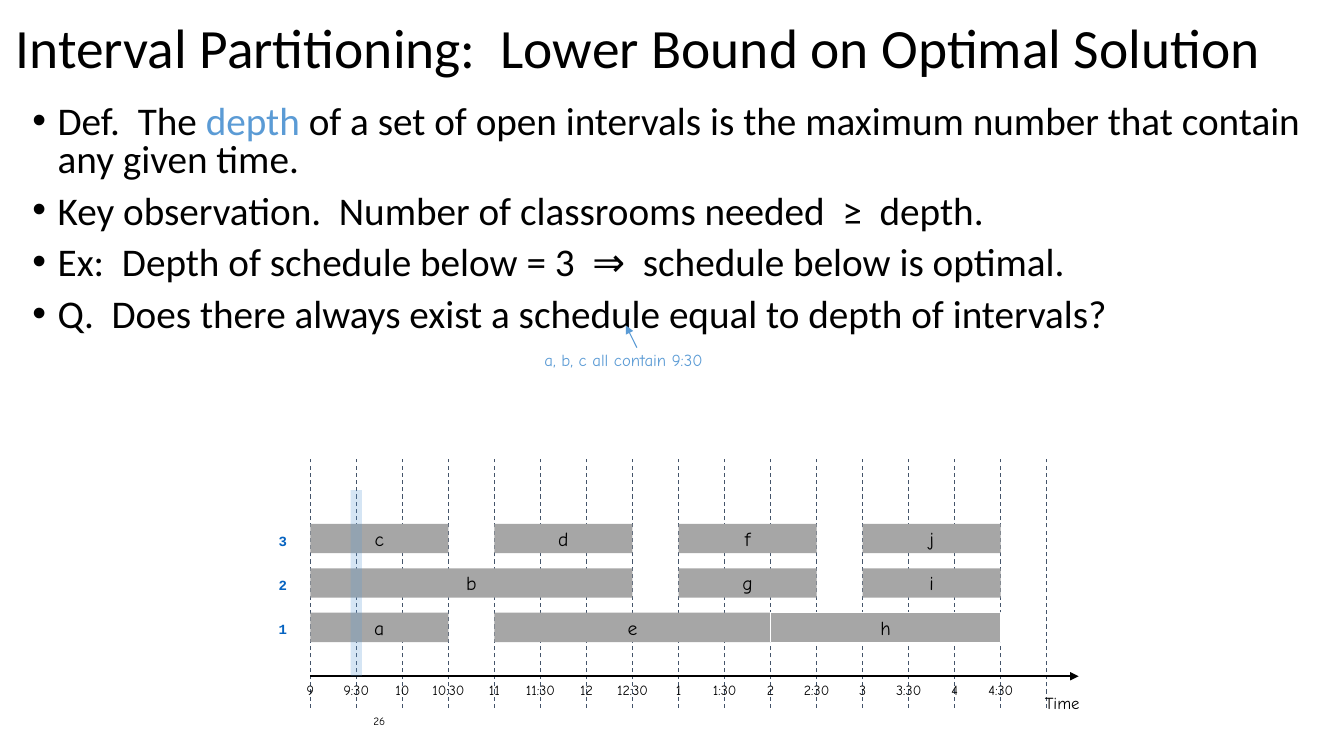
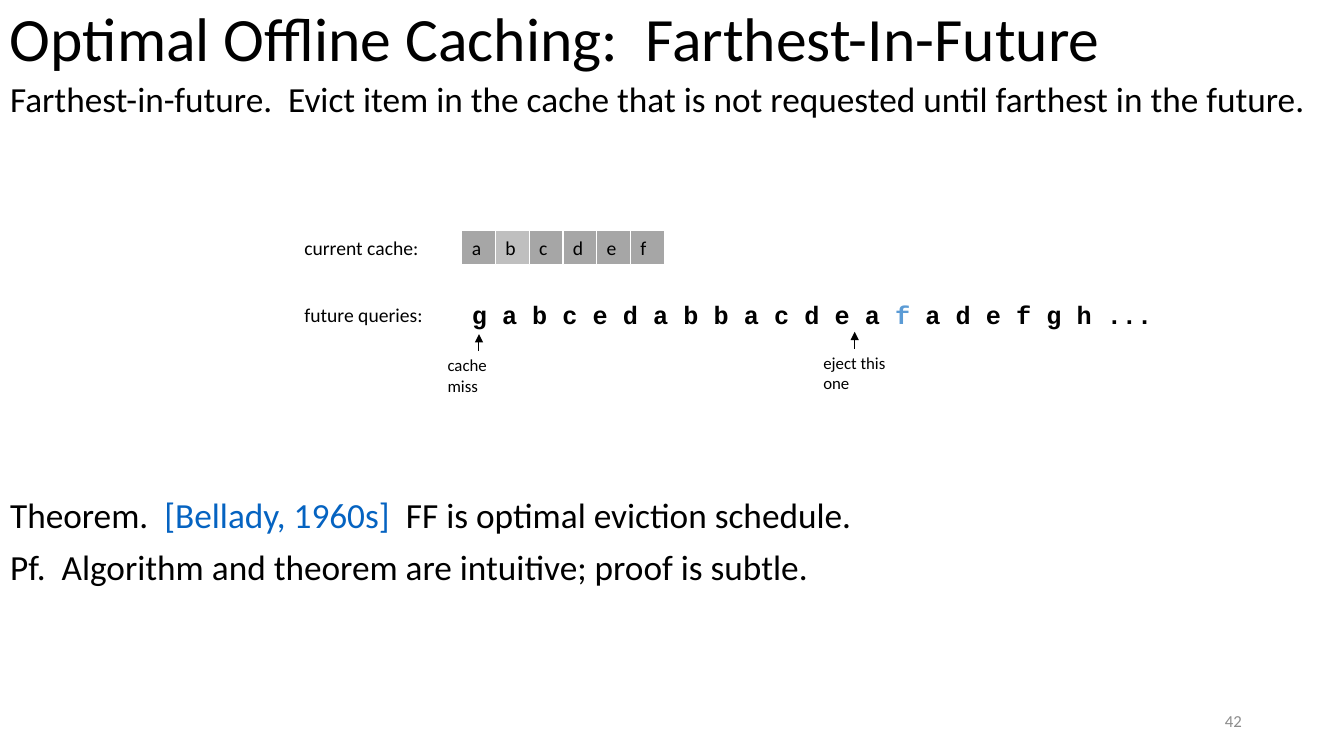
import collections

import pptx
import pptx.dml.color
import pptx.enum.dml
import pptx.enum.shapes
import pptx.enum.text
import pptx.oxml
import pptx.oxml.ns
import pptx.util

Cm = pptx.util.Cm
Pt = pptx.util.Pt
Align = pptx.enum.text.PP_ALIGN
Anchor = pptx.enum.text.MSO_ANCHOR
Box = collections.namedtuple("Box", "left top width height")  # centimetres

# Shared look
BLACK, WHITE, SLATE = "000000", "FFFFFF", "44546A"
GREY, LIGHT_GREY, FOOTER_GREY = "A6A6A6", "BFBFBF", "8C8C8C"
SKY, LINK_BLUE = "5B9BD5", "0563C1"
PLAIN, HAND, CODE = "Calibri", "Comic Neue", "Courier New"
INSET = 0.25


def paint(colour_format, colour):
    colour_format.rgb = pptx.dml.color.RGBColor.from_string(colour)


def add_element(parent, tag, **attributes):
    element = pptx.oxml.parse_xml(f"<{tag} {pptx.oxml.ns.nsdecls('a')}/>")
    for name, value in attributes.items():
        element.set(name, value)
    parent.append(element)


def place(shape, box):
    shape.left, shape.top, shape.width, shape.height = map(Cm, box)


def fill_paragraph(para, spans, size, font=PLAIN, bold=False):
    """Each span is a text or a (text, colour) pair."""
    for span in spans:
        text, colour = (span, BLACK) if isinstance(span, str) else span
        run = para.add_run()
        run.text = text
        run.font.size, run.font.name, run.font.bold = Pt(size), font, bold
        paint(run.font.color, colour)


def write(shape, spans, size, font=PLAIN, bold=False, align=Align.LEFT,
          anchor=Anchor.MIDDLE, inset=0, wrap=True):
    frame = shape.text_frame
    frame.word_wrap, frame.vertical_anchor = wrap, anchor
    frame.margin_left = frame.margin_right = Cm(inset)
    frame.margin_top = frame.margin_bottom = 0
    frame.paragraphs[0].alignment = align
    fill_paragraph(frame.paragraphs[0], spans, size, font, bold)


def add_label(page, box, spans, size, **style):
    write(page.shapes.add_textbox(*map(Cm, box)), spans, size, **style)


def add_rectangle(page, box, fill, outline=None):
    shape = page.shapes.add_shape(
        pptx.enum.shapes.MSO_SHAPE.RECTANGLE, *map(Cm, box))
    shape.shadow.inherit = False
    shape.fill.solid()
    paint(shape.fill.fore_color, fill)
    if outline:
        paint(shape.line.color, outline)
        shape.line.width = Pt(0.75)
    else:
        shape.line.fill.background()
    return shape


def add_line(page, start, end, colour, width=0.75, dashed=False, arrow=False):
    line = page.shapes.add_connector(
        pptx.enum.shapes.MSO_CONNECTOR.STRAIGHT, *map(Cm, start + end))
    paint(line.line.color, colour)
    line.line.width = Pt(width)
    if dashed:
        line.line.dash_style = pptx.enum.dml.MSO_LINE.DASH
    properties = line._element.spPr
    if arrow:
        add_element(properties.find(pptx.oxml.ns.qn("a:ln")), "a:tailEnd",
                    type="triangle")
    add_element(properties, "a:effectLst")


def add_page(deck, title, title_box, title_size):
    page = deck.slides.add_slide(deck.slide_layouts[1])
    heading = page.shapes.title
    place(heading, title_box)
    write(heading, [title], title_size, inset=INSET)
    heading.text_frame.auto_size = pptx.enum.text.MSO_AUTO_SIZE.NONE
    heading.text_frame.paragraphs[0].line_spacing = 0.9
    return page


def fill_body(page, box, items, size, line_spacing, bulleted):
    """Each item is (space before in points, spans)."""
    body = page.placeholders[1]
    place(body, box)
    frame = body.text_frame
    frame.auto_size = pptx.enum.text.MSO_AUTO_SIZE.NONE
    for index, (space_before, spans) in enumerate(items):
        para = frame.add_paragraph() if index else frame.paragraphs[0]
        properties = para._p.get_or_add_pPr()
        properties.set("marL", str(Cm(0.64)))
        properties.set("indent", str(-Cm(0.64)))
        if bulleted:
            add_element(properties, "a:buFont", typeface="Arial")
            add_element(properties, "a:buChar", char="•")
        else:
            add_element(properties, "a:buNone")
        para.line_spacing = line_spacing
        para.space_before = Pt(space_before)
        fill_paragraph(para, spans, size)


def add_page_number(page, left, number, size, font, colour):
    add_label(page, Box(left, 17.65, 7.62, 1.02), [(number, colour)], size,
              font=font, align=Align.RIGHT, inset=INSET)


def add_schedule(page, box):
    """Classroom timetable: half-hour columns, three rows, time axis."""
    times = ["9", "9:30", "10", "10:30", "11", "11:30", "12", "12:30",
             "1", "1:30", "2", "2:30", "3", "3:30", "4", "4:30"]
    # Lecture, classroom, first column, number of half hours
    lectures = [("a", 1, 0, 3), ("b", 2, 0, 7), ("c", 3, 0, 3),
                ("d", 3, 4, 3), ("e", 1, 4, 6), ("f", 3, 8, 3),
                ("g", 2, 8, 3), ("h", 1, 10, 5), ("i", 2, 12, 3),
                ("j", 3, 12, 3)]
    step = box.width / len(times)
    bottom = box.top + box.height
    axis = bottom - 0.8
    bar_height = 0.74

    def row_top(room):
        return box.top + 1.64 + (3 - room) * 1.12

    # Grid and axis
    for column in range(len(times) + 1):
        x = box.left + column * step
        add_line(page, (x, bottom), (x, box.top), SLATE, dashed=True)
    add_line(page, (box.left, axis), (box.left + box.width + 0.8, axis),
             BLACK, 1.25, arrow=True)
    for column, time in enumerate(times):
        add_label(page, Box(box.left + (column - 0.5) * step, axis, step, 0.7),
                  [time], 10, font=HAND, align=Align.CENTER)
    add_label(page, Box(box.left + box.width - 0.05, axis + 0.37, 1.4, 0.6),
              ["Time"], 12, font=HAND)

    # Lectures and classroom numbers
    for name, room, start, length in lectures:
        bar = add_rectangle(
            page, Box(box.left + start * step, row_top(room), length * step,
                      bar_height), GREY, WHITE if name == "h" else None)
        write(bar, [name], 14, font=HAND, align=Align.CENTER)
    for room in (1, 2, 3):
        add_label(page, Box(box.left - 1.04, row_top(room) + 0.05, 0.7,
                            bar_height),
                  [(str(room), LINK_BLUE)], 10, font=CODE, bold=True,
                  align=Align.CENTER)

    # Translucent marker at 9:30
    marker = add_rectangle(page, Box(box.left + step - 0.14, box.top + 0.79,
                                     0.28, axis - box.top - 0.79), SKY)
    colour = marker._element.spPr.find(".//" + pptx.oxml.ns.qn("a:srgbClr"))
    add_element(colour, "a:alpha", val="25000")


def add_cache(page, box):
    """Cache cells above the queries to come, with two callouts."""
    cell = 0.85
    content_left = box.left + 4.22
    query_top = box.top + 1.68

    for top, caption in ((box.top, "current cache:"),
                         (query_top, "future queries:")):
        add_label(page, Box(box.left, top, 3.6, cell), [caption], 14,
                  inset=INSET, wrap=False)
    for index, item in enumerate("abcdef"):
        square = add_rectangle(
            page, Box(content_left + index * cell, box.top, cell, cell),
            LIGHT_GREY if item == "b" else GREY, WHITE)
        write(square, [item], 14, inset=INSET, wrap=False)
    add_label(page, Box(content_left, query_top,
                        box.left + box.width - content_left, cell),
              ["g a b c e d a b b a c d e a ", ("f", SKY),
               " a d e f g h ..."],
              18, font=CODE, bold=True, inset=INSET, wrap=False)

    # Callouts: text, arrow offset, tip offset, text width
    for text, offset, drop, width in (("cache miss", 4.65, 2.6, 1.5),
                                      ("eject this one", 14.12, 2.54, 2.1)):
        x, tip = box.left + offset, box.top + drop
        add_line(page, (x, tip + 0.43), (x, tip), BLACK, arrow=True)
        add_label(page, Box(x - 0.79, tip + 0.53, width, 1.02), [text], 12,
                  anchor=Anchor.TOP)


def build_partitioning(deck):
    page = add_page(deck,
                    "Interval Partitioning:  Lower Bound on Optimal Solution",
                    Box(0.15, 0, 33.7, 2.54), 39.6)
    fill_body(page, Box(0.56, 2.54, 32.94, 15.04), [
        (0, ["Def.  The ", ("depth ", SKY), "of a set of open intervals is "
             "the maximum number that contain any given time."]),
        (10, ["Key observation.  Number of classrooms needed  ≥  depth."]),
        (10, ["Ex:  Depth of schedule below = 3  ⇒  schedule below is "
              "optimal."]),
        (10, ["Q.  Does there always exist a schedule equal to depth of "
              "intervals?"]),
    ], 28, 0.8, True)
    add_label(page, Box(13.72, 8.81, 5.03, 0.6),
              [("a, b, c all contain 9:30", SKY)], 12, font=HAND,
              anchor=Anchor.TOP)
    add_line(page, (16.05, 8.76), (15.77, 8.2), SKY, arrow=True)
    add_schedule(page, Box(7.82, 11.56, 18.56, 6.28))
    add_page_number(page, 2.34, "26", 8, HAND, BLACK)


def build_caching(deck):
    page = add_page(deck, "Optimal Offline Caching:  Farthest-In-Future",
                    Box(0, -0.05, 29.21, 2.21), 44)
    fill_body(page, Box(0, 1.93, 33.6, 15.21), [
        (0, ["Farthest-in-future.  Evict item in the cache that is not "
             "requested until farthest in the future."]),
        (270, ["Theorem.  ", ("[Bellady, 1960s]  ", LINK_BLUE),
               "FF is optimal eviction schedule."]),
        (10, ["Pf.  Algorithm and theorem are intuitive; proof is subtle."]),
    ], 25.2, 0.9, False)
    add_cache(page, Box(7.42, 5.82, 22.5, 4.2))
    add_page_number(page, 23.93, "42", 12, PLAIN, FOOTER_GREY)


def main():
    deck = pptx.Presentation()
    deck.slide_width, deck.slide_height = Cm(33.87), Cm(19.05)
    build_partitioning(deck)
    build_caching(deck)
    deck.save("out.pptx")


if __name__ == "__main__":
    main()
